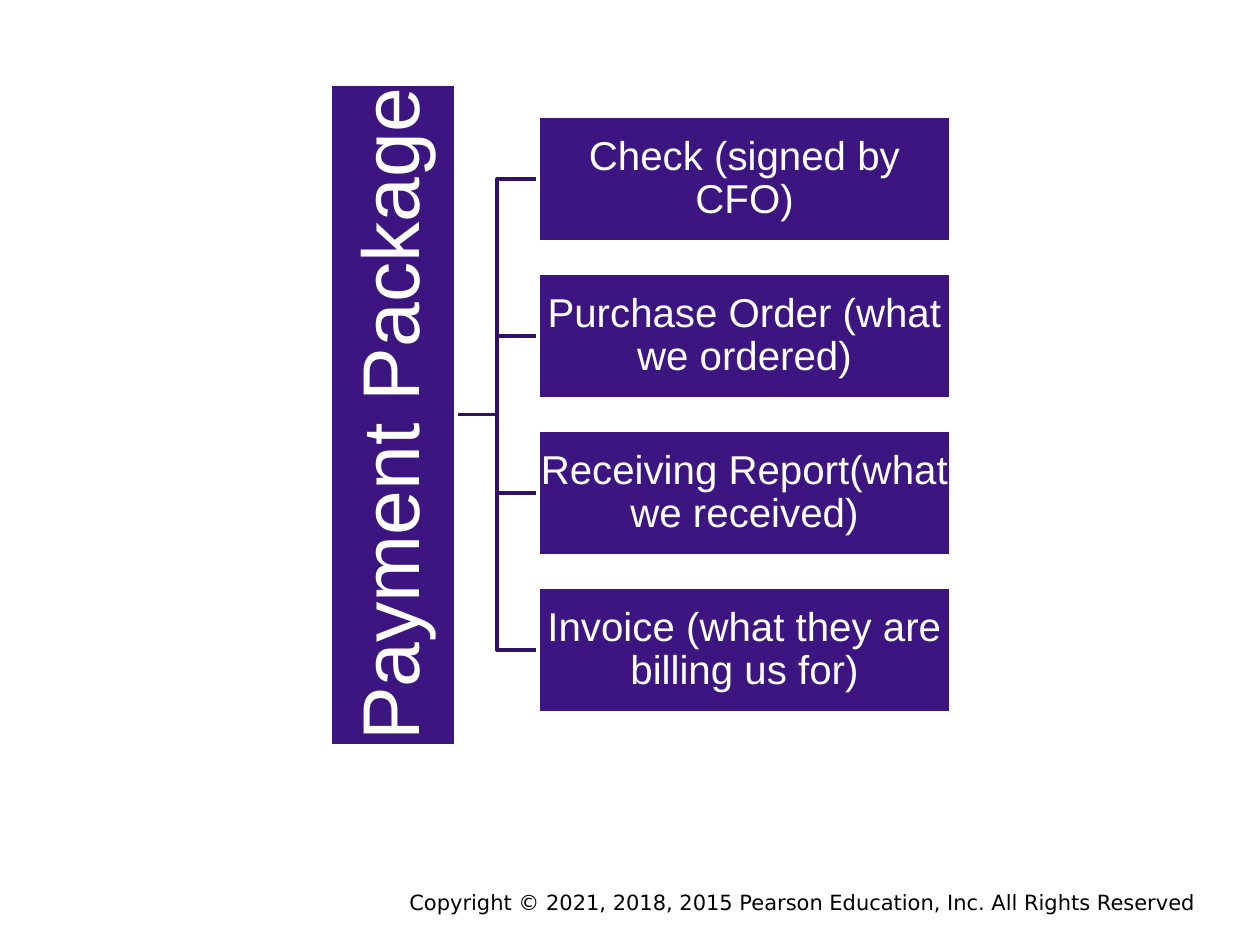
"""Build a slide that breaks a payment package into its four documents."""
from dataclasses import dataclass

from pptx import Presentation
from pptx import util as u
from pptx.dml.color import RGBColor
from pptx.enum import shapes, text


@dataclass(frozen=True)
class Theme:
    """Colours, fonts and type sizes of the slide."""
    box: RGBColor = RGBColor(0x3C, 0x15, 0x81)
    branch: RGBColor = RGBColor(0x30, 0x11, 0x67)
    light: RGBColor = RGBColor(0xFF, 0xFF, 0xFF)
    dark: RGBColor = RGBColor(0, 0, 0)
    font: str = "Arial"
    footer_font: str = "DejaVu Sans"
    root_size: int = 46
    item_size: int = 23
    footer_size: int = 12
    line_width: int = 2


THEME = Theme()
ROOT_CENTER = (3.12, 3.29)
ROOT_SIZE = (5.25, 1)
ITEM_LEFT, FIRST_TOP, LAST_TOP = 4.27, 0.92, 4.66
ITEM_SIZE = (3.28, 1)
ITEMS = (
    "Check (signed by CFO)",
    "Purchase Order (what we ordered)",
    "Receiving Report(what we received)",
    "Invoice (what they are billing us for)",
)
FOOTER = "Copyright © 2021, 2018, 2015 Pearson Education, Inc. All Rights Reserved"


def write_text(shape, content, *, size, color=THEME.light, font=THEME.font,
               align=text.PP_ALIGN.CENTER, anchor=text.MSO_ANCHOR.MIDDLE,
               inset=0, line_spacing=0.9):
    """Write one formatted paragraph into a shape."""
    frame = shape.text_frame
    frame.word_wrap = True
    frame.vertical_anchor = anchor
    frame.margin_left = frame.margin_right = u.Inches(inset)
    frame.margin_top = frame.margin_bottom = u.Inches(inset)
    paragraph = frame.paragraphs[0]
    paragraph.alignment = align
    paragraph.line_spacing = line_spacing
    run = paragraph.add_run()
    run.text = content
    run.font.name = font
    run.font.size = u.Pt(size)
    run.font.color.rgb = color


def add_box(slide, content, left, top, dimensions, *, size, inset, rotation=0):
    """Add a filled rectangle with a centred label."""
    width, height = dimensions
    shape = slide.shapes.add_shape(
        shapes.MSO_SHAPE.RECTANGLE, u.Inches(left), u.Inches(top),
        u.Inches(width), u.Inches(height))
    shape.rotation = rotation
    shape.shadow.inherit = False
    shape.fill.solid()
    shape.fill.fore_color.rgb = THEME.box
    shape.line.color.rgb = THEME.light
    shape.line.width = u.Pt(THEME.line_width)
    write_text(shape, content, size=size, inset=inset)


def add_branch(slide, start, end):
    """Add an open right-angled line that bends halfway across."""
    middle = (start[0] + end[0]) / 2
    points = [(u.Inches(x), u.Inches(y))
              for x, y in ((middle, start[1]), (middle, end[1]), end)]
    builder = slide.shapes.build_freeform(u.Inches(start[0]), u.Inches(start[1]))
    builder.add_line_segments(points, close=False)
    shape = builder.convert_to_shape()
    shape.shadow.inherit = False
    shape.fill.background()
    shape.line.color.rgb = THEME.branch
    shape.line.width = u.Pt(THEME.line_width)


def add_footer(slide):
    """Add the right-aligned copyright line."""
    box = slide.shapes.add_textbox(
        u.Inches(3), u.Inches(7.06), u.Inches(6.49), u.Inches(0.22))
    write_text(box, FOOTER, size=THEME.footer_size, color=THEME.dark,
               font=THEME.footer_font, align=text.PP_ALIGN.RIGHT,
               anchor=text.MSO_ANCHOR.TOP, line_spacing=1.0)


def add_hierarchy(slide):
    """Add the upright root box, its branches and the item boxes."""
    center_x, center_y = ROOT_CENTER
    length, thickness = ROOT_SIZE
    pitch = (LAST_TOP - FIRST_TOP) / (len(ITEMS) - 1)
    tops = [FIRST_TOP + pitch * index for index in range(len(ITEMS))]
    for top in tops:
        add_branch(slide, (center_x + thickness / 2, center_y),
                   (ITEM_LEFT, top + ITEM_SIZE[1] / 2))
    add_box(slide, "Payment Package", center_x - length / 2,
            center_y - thickness / 2, ROOT_SIZE,
            size=THEME.root_size, inset=0.02, rotation=270)
    for label, top in zip(ITEMS, tops):
        add_box(slide, label, ITEM_LEFT, top, ITEM_SIZE,
                size=THEME.item_size, inset=0.01)


def main():
    """Build and save the presentation."""
    presentation = Presentation()
    presentation.slide_width = u.Inches(10)
    presentation.slide_height = u.Inches(7.5)
    slide = presentation.slides.add_slide(presentation.slide_layouts[6])
    add_footer(slide)
    add_hierarchy(slide)
    presentation.save("out.pptx")


if __name__ == "__main__":
    main()
